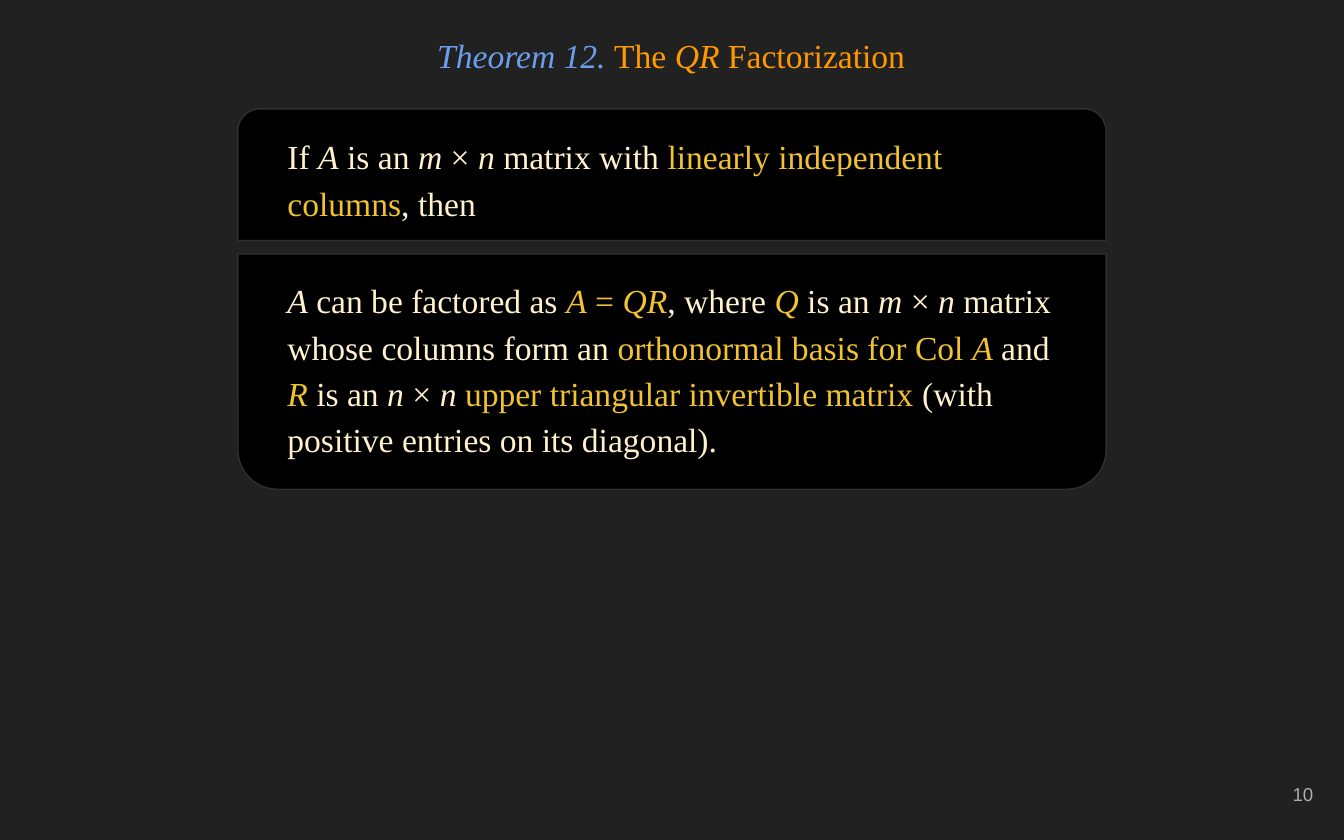
from pptx import Presentation
from pptx import util as u
from pptx.dml.color import RGBColor
from pptx.enum import shapes, text

PX = u.Inches(1) // 100  # 100 px to the inch

BACKGROUND, BLACK, EDGE, GREY = "212121", "000000", "303030", "ADADAD"
BLUE, ORANGE, CREAM, GOLD = "6D9EEB", "FF9900", "FFF2CC", "F1C232"

SERIF = {"name": "Times New Roman", "size": u.Pt(18)}
SANS = {"name": "Arial", "size": u.Pt(10)}
BODY = {"line_spacing": 1.15, "space_after": u.Pt(10)}

TITLE = [(BLUE, "*Theorem 12. *"), (ORANGE, "The *QR* Factorization")]
HYPOTHESIS = [
    (CREAM, "If *A* is an *m* × *n *matrix with "),
    (GOLD, "linearly independent columns"),
    (CREAM, ", then"),
]
CONCLUSION = [
    (CREAM, "*A* can be factored as "),
    (GOLD, "*A* = *QR*"),
    (CREAM, ", where "),
    (GOLD, "*Q *"),
    (CREAM, "is an *m* × *n *matrix whose columns form an "),
    (GOLD, "orthonormal basis for Col *A*"),
    (CREAM, " and "),
    (GOLD, "*R*"),
    (CREAM, " is an *n* × *n *"),
    (GOLD, "upper triangular invertible matrix"),
    (CREAM, " (with positive entries on its diagonal)."),
]


def rgb(value):
    return RGBColor.from_string(value)


def set_all(obj, values):
    for name, value in values.items():
        setattr(obj, name, value)


def emu(box):
    return [n * PX for n in box]


class Deck:
    def __init__(self, width, height):
        self.prs = Presentation()
        self.prs.slide_width, self.prs.slide_height = emu((width, height))
        self.s = None

    def slide(self, background):
        self.s = self.prs.slides.add_slide(self.prs.slide_layouts[6])
        fill = self.s.background.fill
        fill.solid()
        fill.fore_color.rgb = rgb(background)

    def text(self, box, segments, font, para, anchor=text.MSO_ANCHOR.TOP, parent=None):
        """Add one paragraph of (colour, words); asterisks enclose italics."""
        tf = (parent or self.s).shapes.add_textbox(*emu(box)).text_frame
        margins = dict.fromkeys(
            ("margin_left", "margin_top", "margin_right", "margin_bottom"), 10 * PX)
        set_all(tf, {"word_wrap": True, "vertical_anchor": anchor, **margins})
        p = tf.paragraphs[0]
        set_all(p, para)
        for colour, words in segments:
            for i, piece in enumerate(words.split("*")):
                if piece:
                    r = p.add_run()
                    r.text = piece
                    set_all(r.font, {**font, "italic": i % 2 == 1})
                    r.font.color.rgb = rgb(colour)

    def panel(self, box, text_box, segments, rotation=0):
        """Add a grouped card, rounded on top unless it is turned over."""
        group = self.s.shapes.add_group_shape()
        sp = group.shapes.add_shape(
            shapes.MSO_SHAPE.ROUND_2_SAME_RECTANGLE, *emu(box))
        sp.adjustments[0], sp.adjustments[1] = 0.167, 0
        sp.rotation = rotation
        sp.shadow.inherit = False
        sp.fill.solid()
        sp.fill.fore_color.rgb = rgb(BLACK)
        sp.line.color.rgb = rgb(EDGE)
        sp.line.width = u.Pt(0.75)
        self.text(text_box, segments, SERIF, BODY, parent=group)


def main():
    deck = Deck(1000, 625)
    deck.slide(BACKGROUND)
    middle = text.MSO_ANCHOR.MIDDLE
    deck.text((927, 567, 60, 48), [(GREY, "10")], SANS,
              {"alignment": text.PP_ALIGN.RIGHT}, middle)
    deck.text((48, 12, 903, 58), TITLE, SERIF,
              {"alignment": text.PP_ALIGN.CENTER}, middle)
    deck.panel((177, 81, 646, 98), (204, 87, 593, 89), HYPOTHESIS)
    deck.panel((177, 189, 646, 175), (204, 194, 593, 166), CONCLUSION, rotation=180)
    deck.prs.save("out.pptx")


if __name__ == "__main__":
    main()
